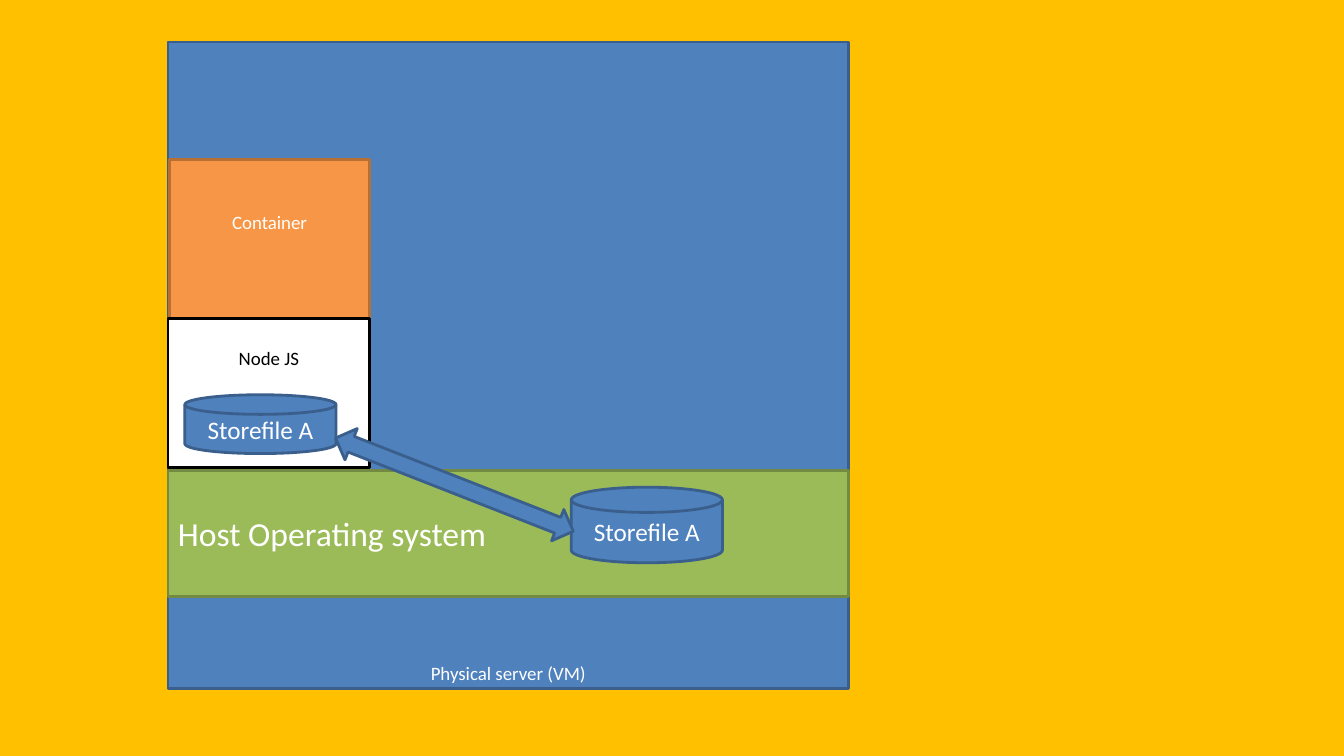
from pptx import Presentation
from pptx.dml.color import RGBColor
from pptx.enum.shapes import MSO_SHAPE
from pptx.enum.text import MSO_ANCHOR, PP_ALIGN
from pptx.util import Inches, Pt

AMBER = RGBColor(0xFF, 0xC0, 0x00)
BLUE = RGBColor(0x4F, 0x81, 0xBD)
DARK_BLUE = RGBColor(0x3A, 0x5F, 0x8C)
GREEN = RGBColor(0x9B, 0xBB, 0x59)
DARK_GREEN = RGBColor(0x73, 0x8A, 0x42)
ORANGE = RGBColor(0xF7, 0x96, 0x46)
DARK_ORANGE = RGBColor(0xB7, 0x6F, 0x34)
WHITE = RGBColor(0xFF, 0xFF, 0xFF)
BLACK = RGBColor(0x00, 0x00, 0x00)

COLUMNS, ROWS = 160, 90
LABEL_SIZE = 13.5


def write_text(shape, text, size=LABEL_SIZE, color=WHITE, align=PP_ALIGN.CENTER,
               anchor=MSO_ANCHOR.MIDDLE, top_inset=0.05):
    frame = shape.text_frame
    frame.word_wrap = True
    frame.vertical_anchor = anchor
    frame.margin_top = Inches(top_inset)
    paragraph = frame.paragraphs[0]
    paragraph.alignment = align
    run = paragraph.add_run()
    run.text = text
    run.font.name = "Calibri"
    run.font.size = Pt(size)
    run.font.color.rgb = color


class ServerDiagram:
    """Places shapes on a grid of COLUMNS by ROWS covering the slide."""

    def __init__(self, presentation):
        self.slide = presentation.slides.add_slide(presentation.slide_layouts[6])
        self.column = presentation.slide_width / COLUMNS
        self.row = presentation.slide_height / ROWS
        background = self.slide.background.fill
        background.solid()
        background.fore_color.rgb = AMBER

    def shape(self, kind, left, top, width, height, fill=BLUE, line=DARK_BLUE):
        shape = self.slide.shapes.add_shape(
            kind, round(left * self.column), round(top * self.row),
            round(width * self.column), round(height * self.row))
        shape.shadow.inherit = False
        shape.fill.solid()
        shape.fill.fore_color.rgb = fill
        shape.line.color.rgb = line
        shape.line.width = Pt(2)
        return shape

    def layer(self, text, left, top, width, height, fill, line, **text_format):
        box = self.shape(MSO_SHAPE.RECTANGLE, left, top, width, height, fill, line)
        write_text(box, text, **text_format)

    def store(self, left, top, height):
        disk = self.shape(MSO_SHAPE.FLOWCHART_MAGNETIC_DISK, left, top, 18, height)
        write_text(disk, "Storefile A", size=18)

    def sync_arrow(self, left, top, width, height, rotation):
        arrow = self.shape(MSO_SHAPE.UP_DOWN_ARROW, left, top, width, height)
        arrow.rotation = rotation


def main():
    presentation = Presentation()
    presentation.slide_width = Inches(13.33)
    presentation.slide_height = Inches(7.5)
    diagram = ServerDiagram(presentation)

    diagram.layer("Physical server (VM)", 20, 5, 81, 77, BLUE, DARK_BLUE,
                  anchor=MSO_ANCHOR.BOTTOM)
    diagram.layer("Host Operating system", 20, 56, 81, 15, GREEN, DARK_GREEN,
                  size=24, align=PP_ALIGN.LEFT)
    diagram.layer("Container", 20.2, 19, 23.8, 36.7, ORANGE, DARK_ORANGE,
                  anchor=MSO_ANCHOR.TOP, top_inset=0.51)
    diagram.layer("Node JS", 20, 37.9, 24, 17.8, WHITE, BLACK, color=BLACK,
                  anchor=MSO_ANCHOR.TOP, top_inset=0.28)
    diagram.store(22, 47, 7)
    diagram.store(68, 58, 9)
    diagram.sync_arrow(52.1, 42.5, 4, 30.4, rotation=291.4)

    presentation.save("out.pptx")


if __name__ == "__main__":
    main()
